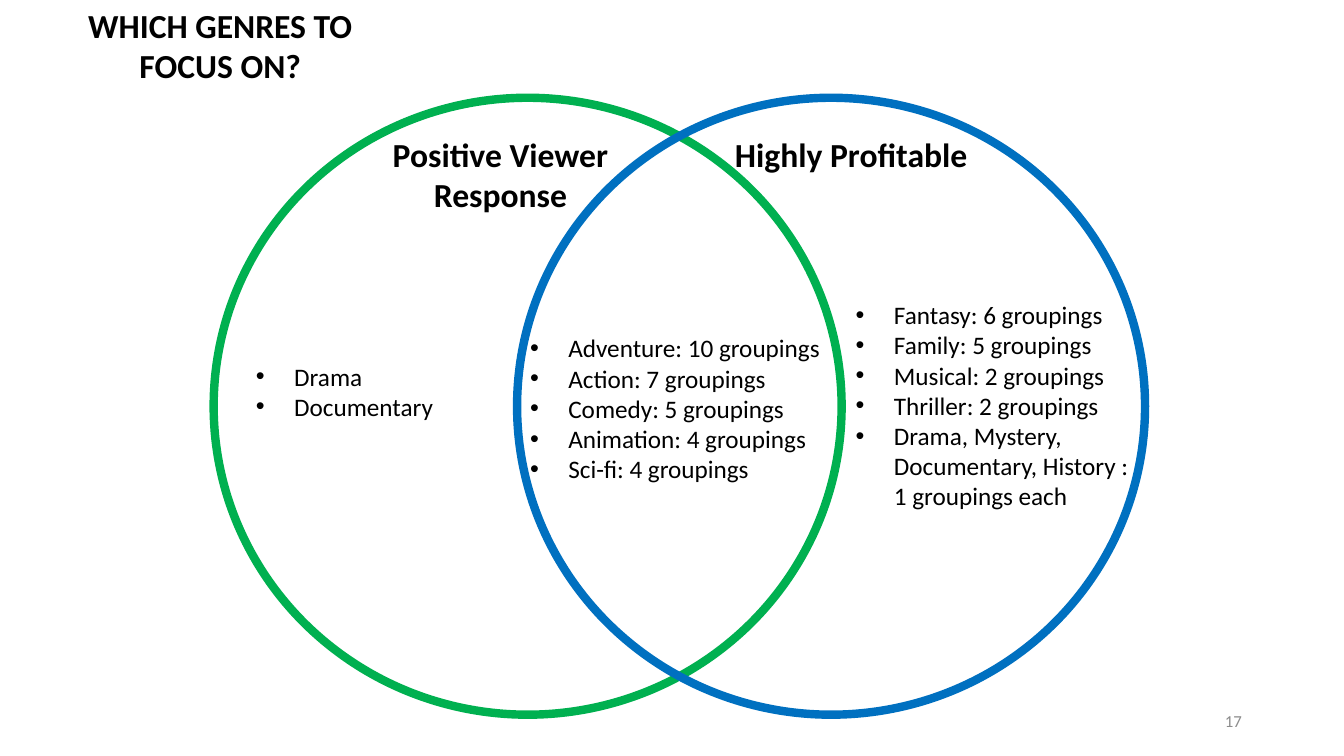
import pptx
import pptx.util
import pptx.dml.color
import pptx.enum.shapes
import pptx.enum.text
import lxml.etree
from dataclasses import dataclass


@dataclass(frozen=True)
class Theme:
    font: str = "Calibri"
    ink: str = "000000"
    muted: str = "8C8C8C"
    green: str = "00B050"
    blue: str = "0070C0"
    heading: int = 24
    body: int = 18
    footer: int = 12
    ring: int = 6


theme = Theme()
Align = pptx.enum.text.PP_ALIGN
Anchor = pptx.enum.text.MSO_ANCHOR

deck = pptx.Presentation()
deck.slide_width = pptx.util.Inches(13.33)
deck.slide_height = pptx.util.Inches(7.5)
page = deck.slides.add_slide(deck.slide_layouts[5])
column = deck.slide_width / 40
row = deck.slide_height / 30


def cells(left, top, width, height):
    return [round(n * unit) for n, unit in
            zip((left, top, width, height), (column, row, column, row))]


def write(box, text, size=theme.heading, color=theme.ink, bold=False,
          align=Align.CENTER, anchor=Anchor.TOP, inset=0.05, bullet=False):
    frame = box.text_frame
    frame.text = text
    frame.word_wrap = True
    frame.auto_size = pptx.enum.text.MSO_AUTO_SIZE.NONE
    frame.vertical_anchor = anchor
    frame.margin_top = pptx.util.Inches(inset)
    for para in frame.paragraphs:
        para.alignment = align
        for span in para.runs:
            span.font.name = theme.font
            span.font.size = pptx.util.Pt(size)
            span.font.bold = bold
            span.font.color.rgb = pptx.dml.color.RGBColor.from_string(color)
        if bullet:
            props = para._p.get_or_add_pPr()
            indent = pptx.util.Inches(0.38)
            props.set("marL", str(indent))
            props.set("indent", str(-indent))
            for tag, name, value in (("buFont", "typeface", "Arial"), ("buChar", "char", "•")):
                mark = lxml.etree.SubElement(props, pptx.oxml.ns.qn("a:" + tag))
                mark.set(name, value)


title = page.shapes.title
title.left, title.top, title.width, title.height = cells(1.65, 0, 9.81, 3.64)
write(title, "WHICH GENRES TO FOCUS ON?", bold=True)

for left, color in ((6.36, theme.green), (15.39, theme.blue)):
    ring = page.shapes.add_shape(pptx.enum.shapes.MSO_SHAPE.OVAL, *cells(left, 3.88, 18.69, 24.48))
    ring.shadow.inherit = False
    ring.fill.background()
    ring.line.color.rgb = pptx.dml.color.RGBColor.from_string(color)
    ring.line.width = pptx.util.Pt(theme.ring)

genre_lists = (
    ((7.32, 12.92, 7.95, 7.68), ["Drama", "Documentary"]),
    ((25.17, 10.48, 8.91, 12.52), [
        "Fantasy: 6 groupings", "Family: 5 groupings", "Musical: 2 groupings",
        "Thriller: 2 groupings", "Drama, Mystery, Documentary, History : 1 groupings each"]),
    ((15.48, 11.8, 9.6, 11.32), [
        "Adventure: 10 groupings", "Action: 7 groupings", "Comedy: 5 groupings",
        "Animation: 4 groupings", "Sci-fi: 4 groupings"]),
)
for area, genres in genre_lists:
    box = page.shapes.add_textbox(*cells(*area))
    write(box, "\n".join(genres), size=theme.body, align=Align.LEFT, inset=0.35, bullet=True)

for left, height, label in ((9.99, 3.64, "Positive Viewer Response"), (20.43, 2, "Highly Profitable")):
    box = page.shapes.add_textbox(*cells(left, 5.12, 9.81, height))
    write(box, label, bold=True)

number = page.shapes.add_textbox(*cells(28.26, 27.8, 9, 1.6))
write(number, "17", size=theme.footer, color=theme.muted, align=Align.RIGHT, anchor=Anchor.MIDDLE)

deck.save("out.pptx")
